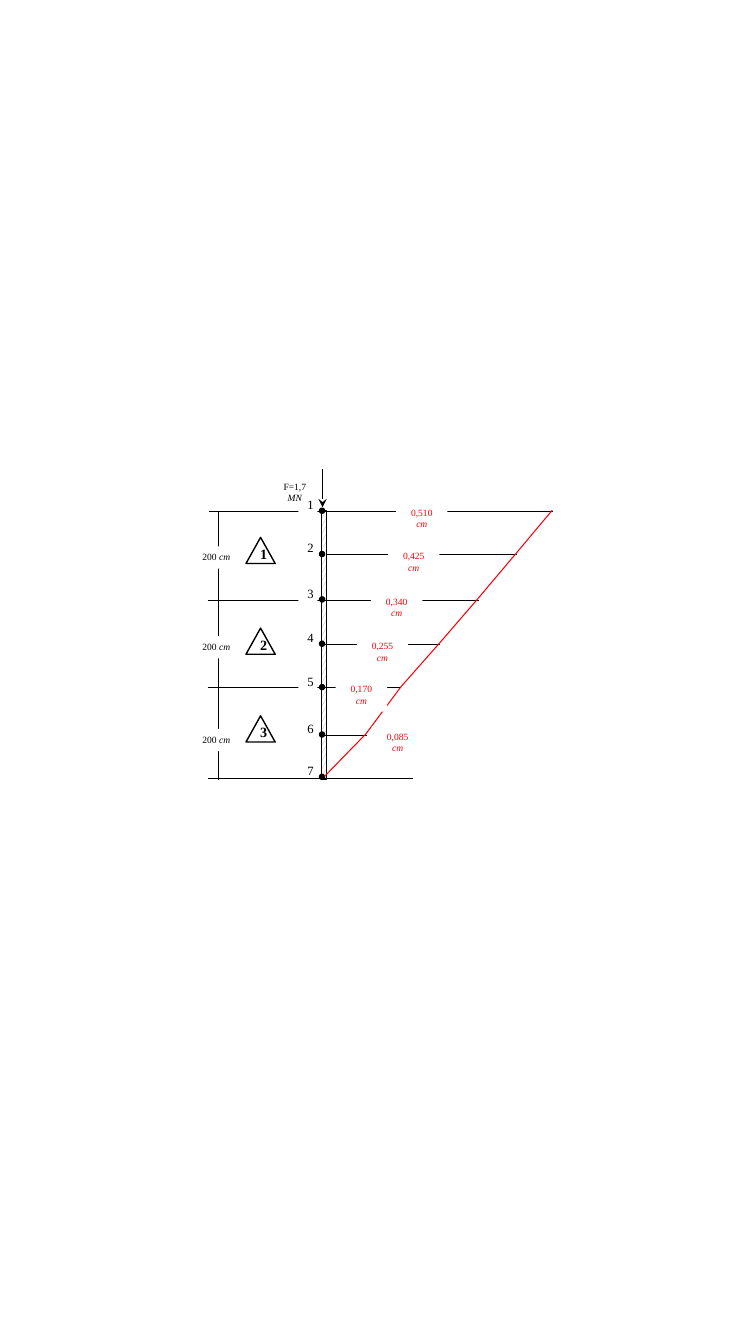
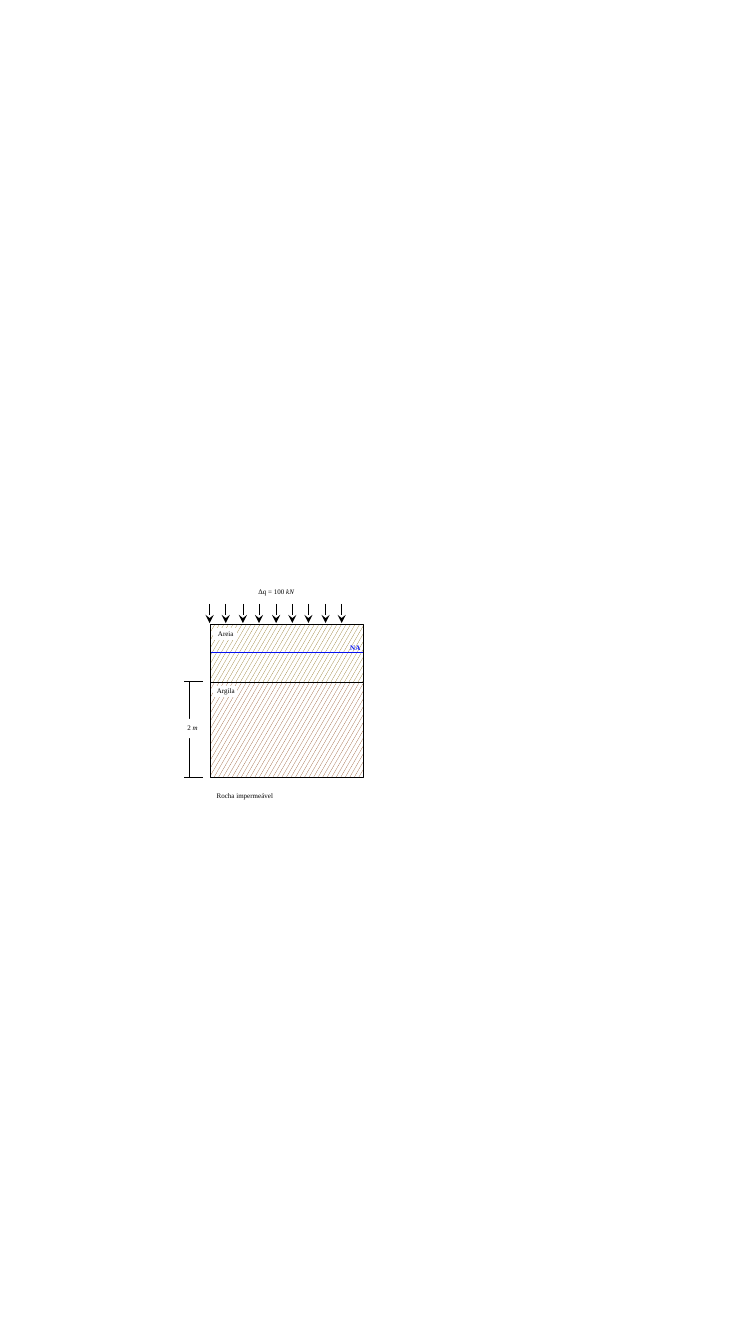
from lxml import etree
from pptx import Presentation
from pptx.dml.color import RGBColor
from pptx.enum.dml import MSO_LINE, MSO_PATTERN
from pptx.enum.shapes import MSO_CONNECTOR, MSO_SHAPE
from pptx.enum.text import PP_ALIGN
from pptx.oxml.ns import qn
from pptx.util import Pt

PX = 9144
WIDE, HIGH = 750, 1333
FACE = "Times New Roman"
BLACK = RGBColor(0x00, 0x00, 0x00)
WHITE = RGBColor(0xFF, 0xFF, 0xFF)
RED = RGBColor(0xFC, 0x00, 0x07)
BLUE = RGBColor(0x06, 0x11, 0xF2)
GREY = RGBColor(0xAF, 0xAB, 0xAB)
BROWN = RGBColor(0x84, 0x3C, 0x0B)
OLIVE = RGBColor(0x80, 0x60, 0x00)

RECT, OVAL = MSO_SHAPE.RECTANGLE, MSO_SHAPE.OVAL
PEAK = MSO_SHAPE.ISOSCELES_TRIANGLE
HATCH = MSO_PATTERN.LARGE_CONFETTI
DOTS = MSO_LINE.ROUND_DOT
STRAIGHT = MSO_CONNECTOR.STRAIGHT
LEFT, MID = PP_ALIGN.LEFT, PP_ALIGN.CENTER

NODES = [
    (507, 207, 548, "0,510", 393),
    (550, 324, 512, "0,425", 385),
    (595, 206, 474, "0,340", 368),
    (639, 322, 436, "0,255", 354),
    (682, 206, 398, "0,170", 333),
    (729, 321, 363, "0,085", 369),
    (771, 206, 322, None, None),
]
PARTS = [(533, 542), (623, 631), (710, 723)]
SOILS = [("Argila", 676, 95, BROWN), ("Areia", 619, 58, OLIVE)]
LOADS = 9

SMALL = {"size": Pt(6.8)}
TINY = {"size": Pt(5)}
COUNT = {"size": Pt(9)}
BOLD = {"size": Pt(10.1), "bold": True}
WATER = {"size": Pt(5), "bold": True}


def shape(slide, kind, box, fill=None, hatch=None, edge=BLACK, weight=1):
    item = slide.shapes.add_shape(kind, *(v * PX for v in box))
    item.shadow.inherit = False
    if hatch:
        item.fill.patterned()
        item.fill.pattern = HATCH
        item.fill.fore_color.rgb = hatch
        item.fill.back_color.rgb = WHITE
    elif fill is not None:
        item.fill.solid()
        item.fill.fore_color.rgb = fill
    else:
        item.fill.background()
    item.line.color.rgb = edge
    item.line.width = Pt(weight)


def line(slide, ends, weight=0.25, dash=None, color=BLACK, arrow=False):
    item = slide.shapes.add_connector(STRAIGHT, *(v * PX for v in ends))
    item.line.color.rgb = color
    item.line.width = Pt(weight)
    if dash:
        item.line.dash_style = dash
    props = item._element.spPr
    if arrow:
        etree.SubElement(props.find(qn("a:ln")), qn("a:tailEnd"), type="stealth")
    etree.SubElement(props, qn("a:effectLst"))


def text(slide, box, plain, font, slant="", color=BLACK, align=MID,
         sides=(5, 5), fill=None):
    item = slide.shapes.add_textbox(*(v * PX for v in box))
    if fill is not None:
        item.fill.solid()
        item.fill.fore_color.rgb = fill
    frame = item.text_frame
    left, right = sides
    form = {"word_wrap": True, "margin_left": left * PX, "margin_right": right * PX,
            "margin_top": 5 * PX, "margin_bottom": 5 * PX}
    for name, value in form.items():
        setattr(frame, name, value)
    para = frame.paragraphs[0]
    para.alignment = align
    for words, tilt in ((plain, False), (slant, True)):
        if words:
            run = para.add_run()
            run.text = words
            for name, value in {"name": FACE, "italic": tilt, **font}.items():
                setattr(run.font, name, value)
            run.font.color.rgb = color


def pile(slide):
    top, base = NODES[0][0], NODES[-1][0]
    digit = {"align": LEFT, "sides": (9, 0)}
    shape(slide, RECT, (319, top, 5, 266), hatch=GREY)
    line(slide, (216, top, 216, 773), dash=DOTS)
    for y, start, end, value, x in NODES:
        if value:
            line(slide, (start, y, end, y), dash=DOTS)
    for y, *rest in NODES:
        shape(slide, OVAL, (317, y - 3, 5, 5), fill=BLACK)
    for i, (y, mark) in enumerate(PARTS, 1):
        shape(slide, PEAK, (244, y, 29, 26))
        text(slide, (249, y + 3, 19, 27), str(i), BOLD, **digit)
        text(slide, (189, mark, 51, 22), "200", SMALL, " cm", fill=WHITE)
    for i, (y, *rest) in enumerate(NODES, 1):
        text(slide, (296, y - 19, 19, 25), str(i), COUNT, fill=WHITE, **digit)
    line(slide, (206, base + 1, 410, base + 1))
    line(slide, (320, 465, 320, 503), weight=0.5, arrow=True)
    text(slide, (267, 472, 51, 33), "F=1,7 ", SMALL, "MN", sides=(10, 10))

    curve = [(end, y - 1) for y, start, end, *rest in reversed(NODES)]
    path = slide.shapes.build_freeform(*curve[0], scale=PX)
    path.add_line_segments(curve[1:], close=False)
    graph = path.convert_to_shape()
    graph.shadow.inherit = False
    graph.fill.background()
    graph.line.color.rgb = RED
    graph.line.width = Pt(0.75)

    for y, start, end, value, x in NODES:
        if value:
            text(slide, (x, y - 9, 51, 33), value, SMALL, " cm", color=RED,
                 sides=(10, 10), fill=WHITE)


def ground(slide):
    for name, y, tall, color in SOILS:
        shape(slide, RECT, (209, y, 152, tall), hatch=color, weight=0)
    line(slide, (209, 647, 360, 647), color=BLUE)
    for name, y, tall, color in SOILS:
        shape(slide, RECT, (212, y + 5, 23, 10), fill=WHITE, edge=WHITE)
        text(slide, (205, y, 38, 19), name, TINY)
    for i in range(LOADS):
        x = 208 + round(131 * i / (LOADS - 1))
        line(slide, (x, 599, x, 618), weight=0.5, arrow=True)
    line(slide, (188, 676, 188, 771), dash=DOTS)
    for y in (676, 771):
        line(slide, (183, y, 201, y), dash=DOTS)
    text(slide, (174, 713, 34, 19), "2 ", TINY, "m", fill=WHITE)
    text(slide, (244, 578, 60, 19), "Δq = 100 ", TINY, "kN")
    text(slide, (337, 633, 31, 19), "NA", WATER, color=BLUE)
    text(slide, (200, 780, 86, 19), "Rocha impermeável", TINY)


def main():
    deck = Presentation()
    deck.slide_width, deck.slide_height = WIDE * PX, HIGH * PX
    for draw in (pile, ground):
        draw(deck.slides.add_slide(deck.slide_layouts[6]))
    deck.save("out.pptx")


if __name__ == "__main__":
    main()
